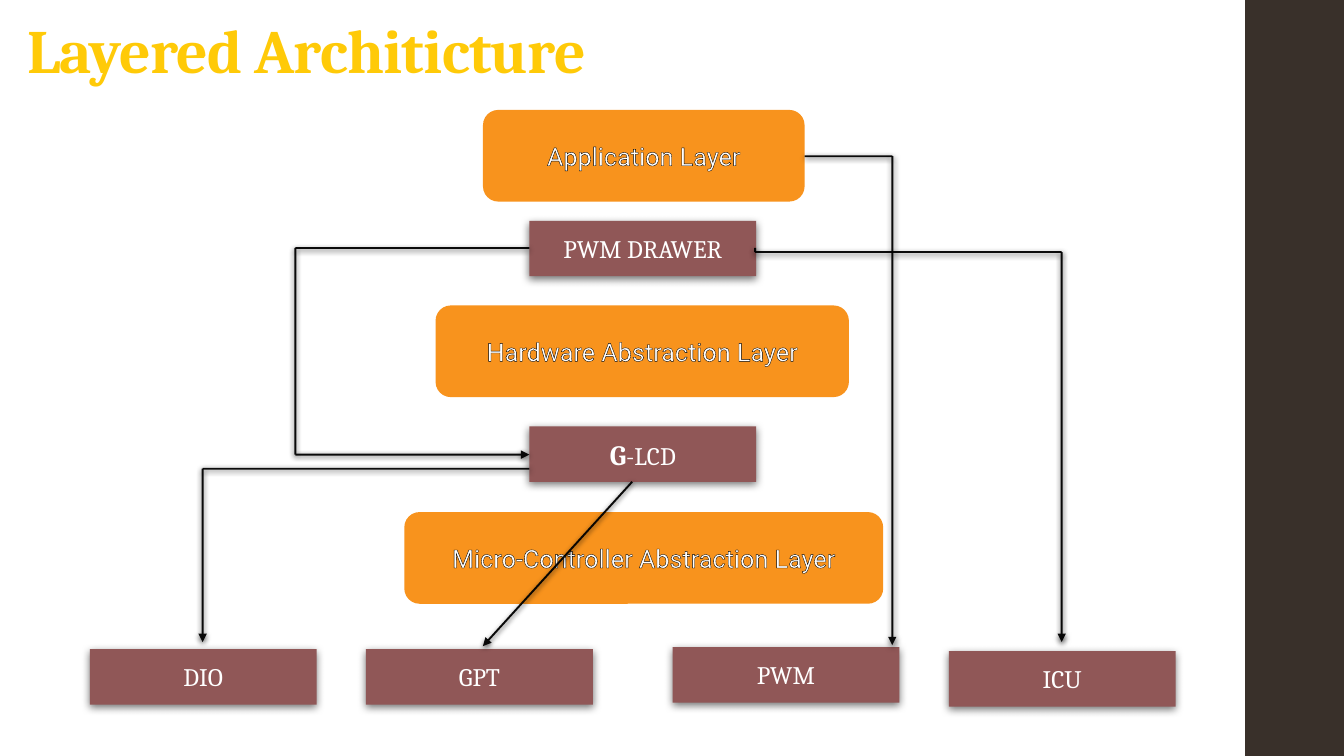
from itertools import pairwise
from lxml.etree import SubElement as Sub
from pptx import Presentation
from pptx.dml.color import RGBColor as Rgb
from pptx.enum.shapes import MSO_CONNECTOR as Link, MSO_SHAPE as Shape
from pptx.enum.text import MSO_ANCHOR as Anchor, MSO_AUTO_SIZE as Fit, PP_ALIGN as Align
from pptx.oxml.ns import qn
from pptx.util import Inches, Pt

HUES = {"side": "39302A", "title": "FFCA08", "layer": "F8931D",
        "part": "905757", "text": "FFFFFF", "line": "000000"}


def hue(name):
    return Rgb.from_string(HUES[name])


def black(node, alpha):
    clr = Sub(node, qn("a:srgbClr"), val=HUES["line"])
    Sub(clr, qn("a:alpha"), val=str(alpha * 1000))


def shade(effects, alpha, blur, dist):
    node = Sub(effects, qn("a:outerShdw"), blurRad=str(Pt(blur)), dist=str(Pt(dist)),
               dir="5400000", algn="ctr", rotWithShape="0")
    black(node, alpha)


def write(para, text, size, font, color, bold=False):
    run = para.add_run()
    run.text = text
    run.font.size = Pt(size)
    run.font.name = font
    run.font.bold = bold
    run.font.color.rgb = hue(color)
    return run


def block(slide, kind, box, fill):
    shape = slide.shapes.add_shape(kind, *map(Inches, box))
    shape.fill.solid()
    shape.fill.fore_color.rgb = hue(fill)
    shape.line.fill.background()
    shape.shadow.inherit = False
    return shape


def center(shape):
    frame = shape.text_frame
    frame.word_wrap = True
    frame.vertical_anchor = Anchor.MIDDLE
    para = frame.paragraphs[0]
    para.alignment = Align.CENTER
    return para


def layer(slide, text, left, top, width):
    shape = block(slide, Shape.ROUNDED_RECTANGLE, (left, top, width, 0.91), "layer")
    run = write(center(shape), text, 18, "Roboto", "text")
    props = run.font._element
    edge = Sub(props, qn("a:ln"), w=str(Pt(0.75)))
    black(Sub(edge, qn("a:solidFill")), 100)
    props.insert(0, edge)


def part(slide, left, top, *runs):
    shape = block(slide, Shape.RECTANGLE, (left, top, 2.25, 0.55), "part")
    shade(shape._element.spPr.find(qn("a:effectLst")), 55, 6, 2)
    para = center(shape)
    for text, size, bold in runs:
        write(para, text, size, "Cambria", "text", bold)


def route(slide, *points):
    for start, end in pairwise(points):
        line = slide.shapes.add_connector(Link.STRAIGHT, *map(Inches, start + end))
        line.line.width = Pt(1.35)
        line.line.color.rgb = hue("line")
        props = line._element.spPr
        edge = props.find(qn("a:ln"))
        clr = edge.find(qn("a:solidFill")).find(qn("a:srgbClr"))
        Sub(clr, qn("a:alpha"), val="95000")
        if end == points[-1]:
            Sub(edge, qn("a:tailEnd"), type="triangle")
        shade(Sub(props, qn("a:effectLst")), 75, 4, 1.2)


def head(slide, text):
    title = slide.shapes.title
    title.left, title.top, title.width, title.height = map(Inches, (0.17, 0, 7.32, 0.91))
    frame = title.text_frame
    frame.auto_size = Fit.NONE
    frame.word_wrap = True
    frame.vertical_anchor = Anchor.BOTTOM
    frame.margin_left = frame.margin_right = Inches(0.1)
    frame.margin_top, frame.margin_bottom = Inches(0.03), Inches(0.05)
    para = frame.paragraphs[0]
    para.alignment = Align.LEFT
    para.line_spacing = 0.9
    run = write(para, text, 44, "Cambria", "title", True)
    run.font._element.set("spc", "-50")


def main():
    deck = Presentation()
    deck.slide_width, deck.slide_height = Inches(13.33), Inches(7.5)
    slide = deck.slides.add_slide(deck.slide_layouts[5])
    block(slide, Shape.RECTANGLE, (12.35, 0, 0.98, 7.5), "side")
    head(slide, "Layered Architicture")

    for text, left, top, width in (
            ("Application Layer", 4.79, 1.09, 3.19),
            ("Hardware Abstraction Layer", 4.32, 3.03, 4.1),
            ("Micro-Controller Abstraction Layer", 4.01, 5.08, 4.75)):
        layer(slide, text, left, top, width)

    part(slide, 5.25, 4.23, ("G", 20, True), ("-LCD", 18, False))
    for text, left, top in (("PWM DRAWER", 5.25, 2.19), ("DIO", 0.89, 6.44),
                            ("GPT", 3.63, 6.44), ("PWM", 6.67, 6.42),
                            ("ICU", 9.41, 6.46)):
        part(slide, left, top, (text, 18, False))

    route(slide, (7.49, 2.46), (7.49, 2.5), (10.53, 2.5), (10.53, 6.37))
    route(slide, (5.25, 2.46), (2.93, 2.46), (2.93, 4.51), (5.25, 4.51))
    route(slide, (5.25, 4.65), (2.01, 4.65), (2.01, 6.37))
    route(slide, (6.27, 4.78), (4.79, 6.41))
    route(slide, (7.98, 1.55), (8.85, 1.55), (8.85, 6.4))
    deck.save("out.pptx")


if __name__ == "__main__":
    main()
